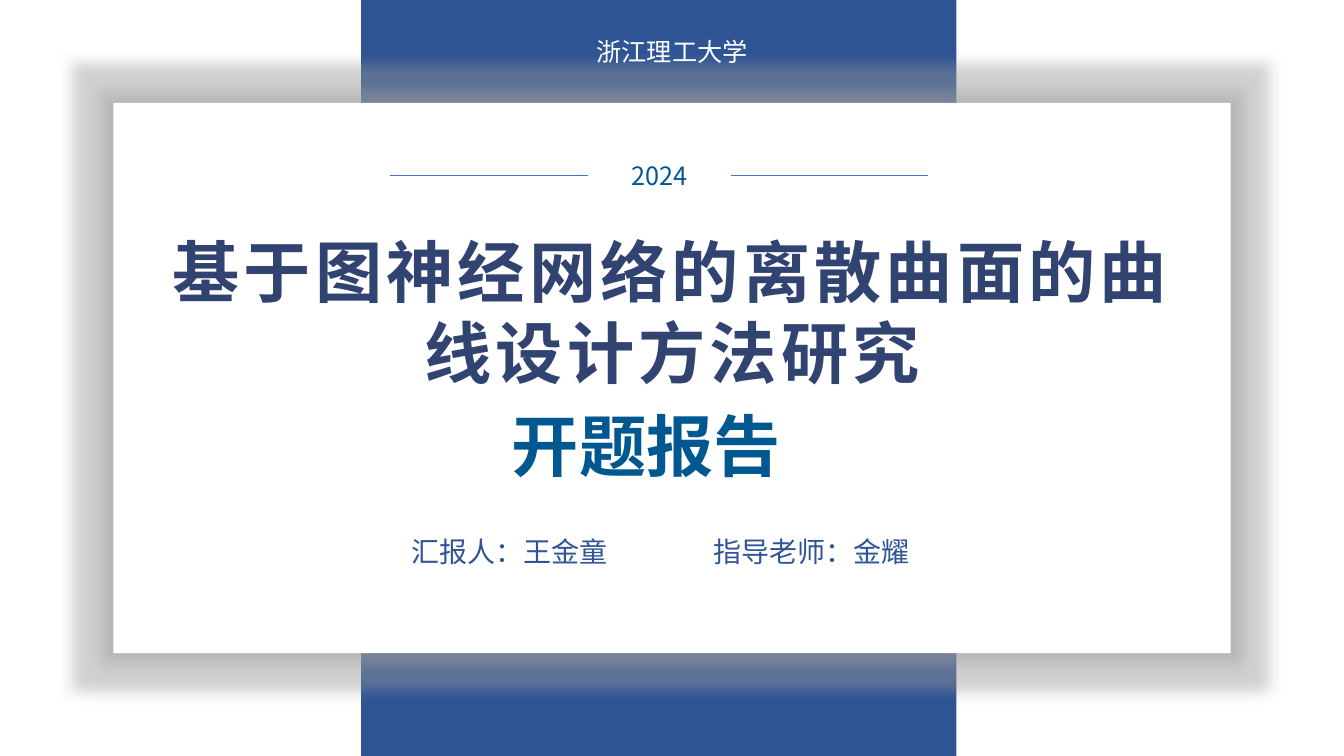
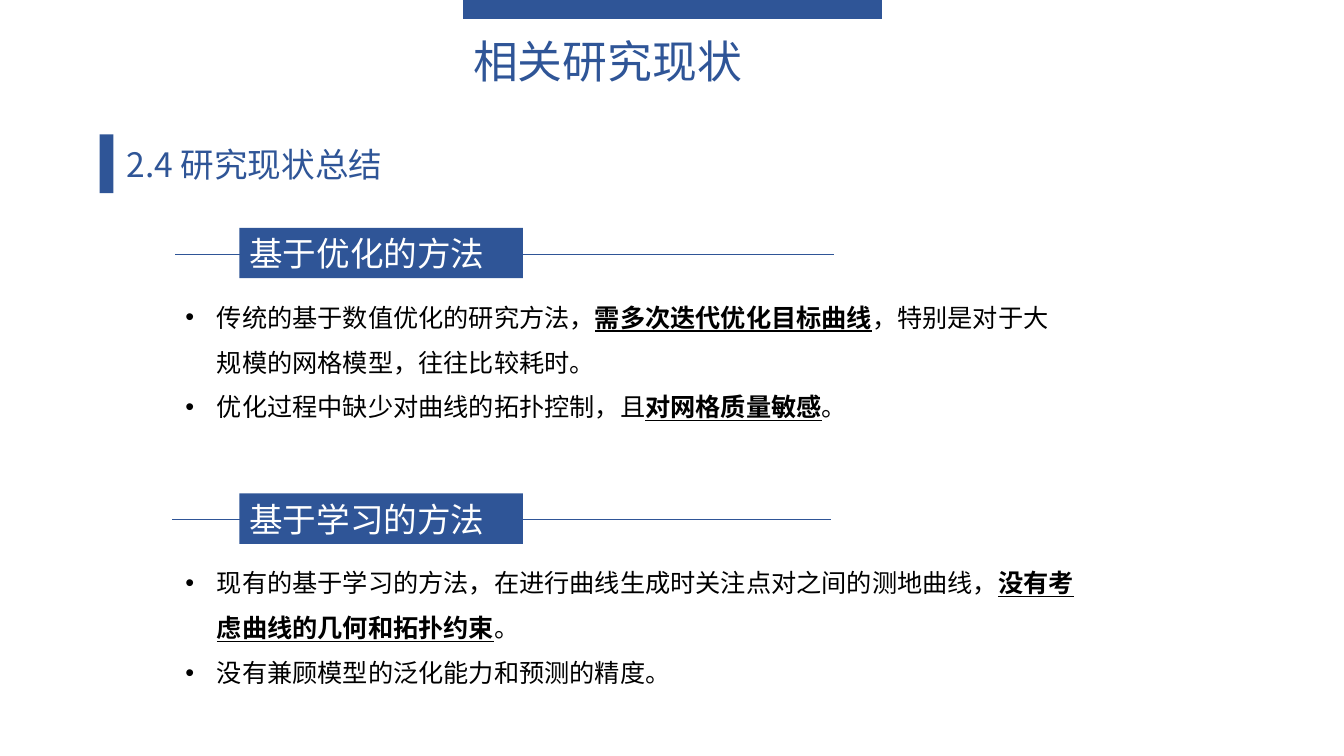
from lxml.etree import SubElement
from pptx import Presentation
from pptx.dml.color import RGBColor
from pptx.enum.shapes import MSO_CONNECTOR as CONN, MSO_SHAPE as SHAPE
from pptx.enum.text import MSO_ANCHOR as ANCHOR, MSO_AUTO_SIZE as AUTO, PP_ALIGN as ALIGN
from pptx.oxml.ns import qn
from pptx.util import Emu, Pt

BLUE = RGBColor(0x2F, 0x55, 0x97)
NAVY = RGBColor(0x30, 0x43, 0x71)
TEAL = RGBColor(0x01, 0x58, 0x91)
RULE = RGBColor(0x44, 0x72, 0xC4)
WHITE = RGBColor(0xFF, 0xFF, 0xFF)
BLACK = RGBColor(0, 0, 0)
GRAY = RGBColor(0xA5, 0xA5, 0xA5)
FONT = "Noto Sans CJK SC"
BULLET_INDENT = 30

OPTIMIZATION = [
    [("传统的基于数值优化的研究方法，", False), ("需多次迭代优化目标曲线", True),
     ("，特别是对于大规模的网格模型，往往比较耗时。", False)],
    [("优化过程中缺少对曲线的拓扑控制，且", False), ("对网格质量敏感", True), ("。", False)],
]
LEARNING = [
    [("现有的基于学习的方法，在进行曲线生成时关注点对之间的测地曲线，", False),
     ("没有考虑曲线的几何和拓扑约束", True), ("。", False)],
    [("没有兼顾模型的泛化能力和预测的精度。", False)],
]


def px(n):
    return Emu(n * 9525)


def add_run(p, text, size, color, bold=False, underline=False, spacing=0):
    r = p.add_run()
    r.text = text
    font = r.font
    font.size, font.name = Pt(size), FONT
    font.bold, font.underline = bold, underline
    font.color.rgb = color
    rPr = r._r.get_or_add_rPr()
    SubElement(rPr, qn("a:ea"), typeface=FONT)
    if spacing:
        rPr.set("spc", str(spacing * 100))


def setup_frame(sp, anchor=ANCHOR.TOP):
    tf = sp.text_frame
    tf.word_wrap = True
    tf.auto_size = AUTO.NONE
    tf.vertical_anchor = anchor
    return tf


def setup_paragraph(p, align, line):
    p.alignment = align
    p.line_spacing = Pt(line)
    p.space_before = p.space_after = Pt(0)


def write(sp, text, size, color, align=ALIGN.CENTER, anchor=ANCHOR.TOP, **fmt):
    p = setup_frame(sp, anchor).paragraphs[0]
    setup_paragraph(p, align, round(size * 1.2, 1))
    add_run(p, text, size, color, **fmt)
    return p


def place(sp, x, y, w, h):
    sp.left, sp.top, sp.width, sp.height = px(x), px(y), px(w), px(h)
    tree = sp._element.getparent()
    tree.append(sp._element)
    return sp


def add_rect(s, x, y, w, h, fill=BLUE):
    sp = s.shapes.add_shape(SHAPE.RECTANGLE, px(x), px(y), px(w), px(h))
    sp.shadow.inherit = False
    sp.fill.solid()
    sp.fill.fore_color.rgb = fill
    sp.line.fill.background()
    return sp


def add_text(s, x, y, w, h, text, size, color, **fmt):
    sp = s.shapes.add_textbox(px(x), px(y), px(w), px(h))
    return write(sp, text, size, color, **fmt)


def add_rule(s, x1, x2, y, color=BLUE):
    line = s.shapes.add_connector(CONN.STRAIGHT, px(x1), px(y), px(x2), px(y))
    line.line.color.rgb = color
    line.line.width = Pt(0.5)
    SubElement(line._element.spPr, qn("a:effectLst"))
    return line


def add_effect_color(effect, color, alpha):
    clr = SubElement(effect, qn("a:srgbClr"), val=str(color))
    SubElement(clr, qn("a:alpha"), val=str(alpha * 1000))


def add_halo(sp):
    effects = sp._element.spPr.find(qn("a:effectLst"))
    glow = SubElement(effects, qn("a:glow"), rad=str(Pt(18)))
    add_effect_color(glow, GRAY, 40)
    shadow = SubElement(effects, qn("a:outerShdw"), blurRad=str(Pt(5)), sx="101000",
                        sy="101000", algn="ctr", rotWithShape="0")
    add_effect_color(shadow, BLACK, 15)


def set_tabs(p, *stops):
    tabs = SubElement(p._p.get_or_add_pPr(), qn("a:tabLst"))
    for stop in stops:
        SubElement(tabs, qn("a:tab"), pos=str(px(stop)), algn="l")


def fill_list(sp, items):
    tf = setup_frame(sp)
    for i, item in enumerate(items):
        p = tf.add_paragraph() if i else tf.paragraphs[0]
        setup_paragraph(p, ALIGN.LEFT, 32)
        pPr = p._p.get_or_add_pPr()
        pPr.set("marL", str(px(BULLET_INDENT)))
        pPr.set("indent", str(-px(BULLET_INDENT)))
        SubElement(pPr, qn("a:buFont"), typeface="Arial")
        SubElement(pPr, qn("a:buChar"), char="•")
        for text, strong in item:
            add_run(p, text, 18, BLACK, bold=strong, underline=strong)


def add_method(s, body, top, rule_left, width, label, items):
    add_rule(s, rule_left, rule_left + 627, top + 25)
    sp = add_rect(s, 228, top, 270, 48)
    write(sp, label, 24, WHITE, align=ALIGN.JUSTIFY)
    fill_list(place(body, 167, top + 52, width, 140), items)


def build_cover(prs):
    s = prs.slides.add_slide(prs.slide_layouts[0])
    title, subtitle = s.placeholders
    add_rect(s, 344, 0, 567, 720)
    add_halo(add_rect(s, 108, 98, 1064, 524, fill=WHITE))

    place(title, 145, 215, 991, 165)
    title.fill.solid()
    title.fill.fore_color.rgb = WHITE
    write(title, "基于图神经网络的离散曲面的曲线设计方法研究", 48, NAVY, bold=True, spacing=3)
    place(subtitle, 478, 380, 302, 87)
    write(subtitle, "开题报告", 48, TEAL, align=ALIGN.JUSTIFY, bold=True)

    p = add_text(s, 331, 504, 596, 42, "汇报人：王金童\t\t指导老师：金耀", 20, BLUE)
    set_tabs(p, 192, 288)

    year = add_rect(s, 560, 149, 136, 36, fill=WHITE)
    write(year, "2024", 18, TEAL, anchor=ANCHOR.MIDDLE)
    add_rule(s, 371, 560, 167, RULE).end_connect(year, 1)
    add_rule(s, 696, 884, 167, RULE).begin_connect(year, 3)
    add_text(s, 320, 30, 640, 38, "浙江理工大学", 18, WHITE)


def build_summary(prs):
    s = prs.slides.add_slide(prs.slide_layouts[3])
    title, first, second = s.placeholders
    add_rect(s, 441, 0, 399, 18)
    place(title, 441, 27, 399, 61)
    write(title, "相关研究现状", 32, BLUE, align=ALIGN.JUSTIFY)
    add_rect(s, 95, 128, 13, 56)
    add_text(s, 111, 132, 442, 48, "2.4 研究现状总结", 24, BLUE, align=ALIGN.LEFT)
    add_method(s, first, 217, 167, 863, "基于优化的方法", OPTIMIZATION)
    add_method(s, second, 470, 164, 878, "基于学习的方法", LEARNING)


def main():
    prs = Presentation()
    prs.slide_width, prs.slide_height = px(1280), px(720)
    build_cover(prs)
    build_summary(prs)
    prs.save("out.pptx")


if __name__ == "__main__":
    main()
